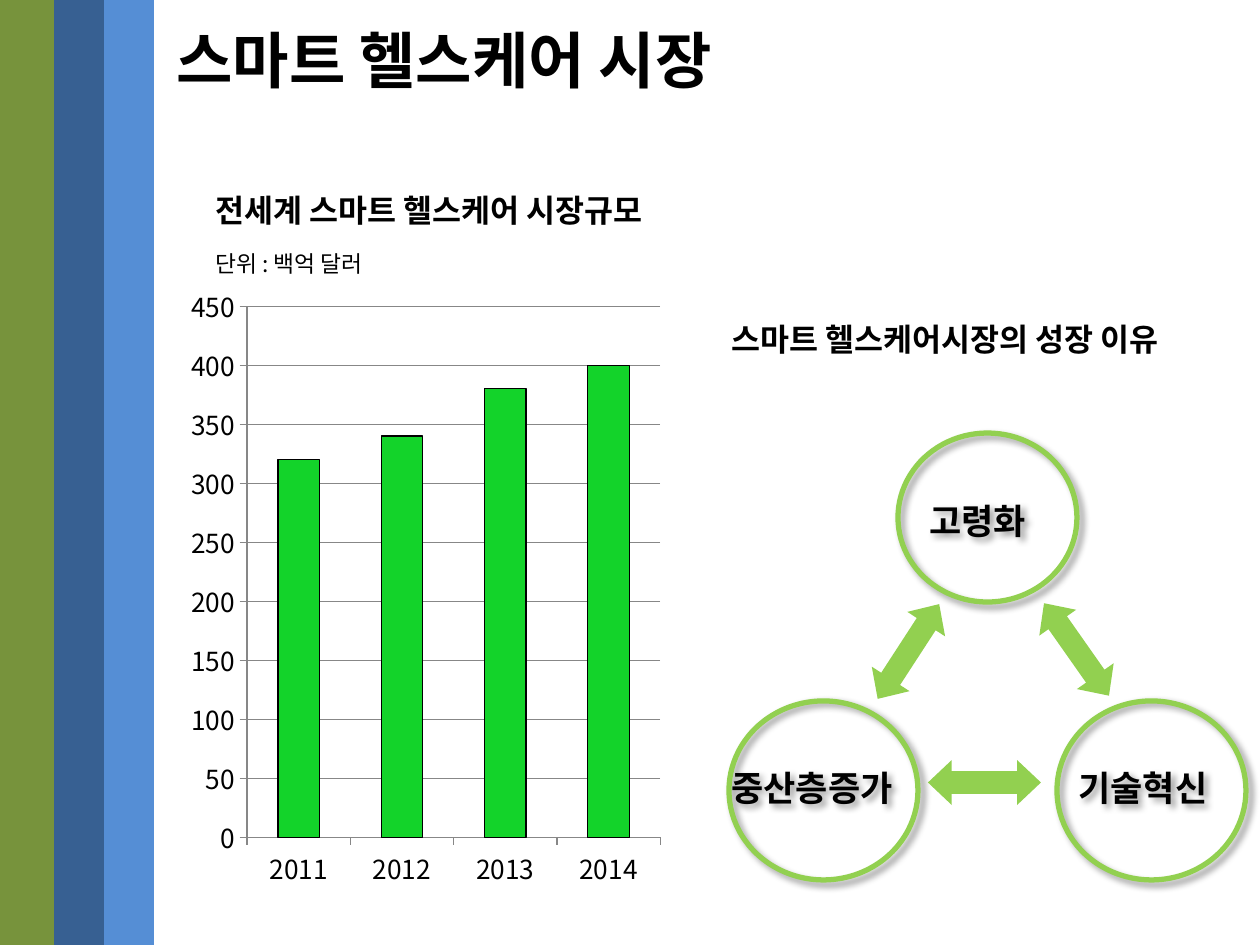
import pptx
import pptx.chart.data
import pptx.dml.color
import pptx.enum.chart
import pptx.enum.shapes
import pptx.enum.text
import pptx.oxml
import pptx.oxml.ns
import pptx.util
from lxml import etree

PX = 914400 / 126
THEME = {
    "font": "Noto Sans CJK KR",
    "olive": "77933C", "navy": "376092", "sky": "558ED5",
    "text": "000000", "bar": "13D32A", "axis": "878787", "lime": "92D050",
    "title": 35, "heading": 18, "unit": 13, "label": 20, "tick": 15,
}
SHADOW = (
    '<a:effectLst %s><a:outerShdw blurRad="50800" dist="38100" dir="2700000" algn="tl" '
    'rotWithShape="0"><a:srgbClr val="000000"><a:alpha val="40000"/></a:srgbClr>'
    '</a:outerShdw></a:effectLst>' % pptx.oxml.ns.nsdecls("a"))


def box(*lengths):
    return [pptx.util.Emu(round(length * PX)) for length in lengths]


def color(name):
    return pptx.dml.color.RGBColor.from_string(THEME[name])


presentation = pptx.Presentation()
presentation.slide_width, presentation.slide_height = box(1260, 945)
slide = presentation.slides.add_slide(presentation.slide_layouts[6])
shapes = slide.shapes
kinds = pptx.enum.shapes.MSO_SHAPE

# Side bands
for left, width, fill in [(104, 50, "sky"), (54, 50, "navy"), (0, 54, "olive")]:
    band = shapes.add_shape(kinds.RECTANGLE, *box(left, 0, width, 945))
    band.shadow.inherit = False
    band.fill.solid()
    band.fill.fore_color.rgb = color(fill)
    band.line.fill.background()

# Market size chart
chart_data = pptx.chart.data.CategoryChartData()
chart_data.categories = ["2011", "2012", "2013", "2014"]
chart_data.add_series("Series 1", [320, 340, 380, 400])
chart = shapes.add_chart(pptx.enum.chart.XL_CHART_TYPE.COLUMN_CLUSTERED,
                         *box(184, 275, 486, 625), chart_data).chart
chart.has_legend = False
chart.has_title = False
chart.font.name = THEME["font"]
chart.font.size = pptx.util.Pt(THEME["heading"])
chart.font.color.rgb = color("text")
plot = chart.plots[0]
plot.gap_width = 150
plot.vary_by_categories = False
series = plot.series[0]
series.format.fill.solid()
series.format.fill.fore_color.rgb = color("bar")
series.format.line.color.rgb = color("text")
series.format.line.width = pptx.util.Pt(0.75)

# Chart axes
for axis in (chart.category_axis, chart.value_axis):
    axis.major_tick_mark = pptx.enum.chart.XL_TICK_MARK.OUTSIDE
    axis.minor_tick_mark = pptx.enum.chart.XL_TICK_MARK.NONE
    axis.tick_labels.font.size = pptx.util.Pt(THEME["tick"])
    axis.format.line.color.rgb = color("axis")
value_axis = chart.value_axis
value_axis.minimum_scale, value_axis.maximum_scale, value_axis.major_unit = 0, 450, 50
value_axis.has_major_gridlines = True
value_axis.major_gridlines.format.line.color.rgb = color("axis")

# Inner plot area, as fractions of the chart
plot_area = chart.element.find(".//" + pptx.oxml.ns.qn("c:plotArea"))
for old_layout in plot_area.findall(pptx.oxml.ns.qn("c:layout")):
    plot_area.remove(old_layout)
layout = etree.Element(pptx.oxml.ns.qn("c:layout"))
manual = etree.SubElement(layout, pptx.oxml.ns.qn("c:manualLayout"))
for tag, value in [("layoutTarget", "inner"), ("xMode", "edge"), ("yMode", "edge"),
                   ("x", 0.13), ("y", 0.05), ("w", 0.85), ("h", 0.85)]:
    etree.SubElement(manual, pptx.oxml.ns.qn("c:" + tag)).set("val", str(value))
plot_area.insert(0, layout)

# Title, headings and circle labels
texts = [
    ("스마트 헬스케어 시장", 164, 16, 625, 87, "title", True, False),
    ("전세계 스마트 헬스케어 시장규모", 203, 185, 504, 50, "heading", True, False),
    ("단위 : 백억 달러", 203, 244, 193, 40, "unit", False, False),
    ("고령화", 917, 493, 139, 55, "label", True, True),
    ("중산층증가", 719, 760, 202, 55, "label", True, True),
    ("기술혁신", 1066, 760, 166, 55, "label", True, True),
    ("스마트 헬스케어시장의 성장 이유", 719, 314, 504, 50, "heading", True, False),
]
for words, left, top, width, height, size, bold, shadowed in texts:
    text_box = shapes.add_textbox(*box(left, top, width, height))
    text_box.text_frame.word_wrap = False
    text_box.text_frame.auto_size = pptx.enum.text.MSO_AUTO_SIZE.SHAPE_TO_FIT_TEXT
    run = text_box.text_frame.paragraphs[0].add_run()
    run.text = words
    run.font.name = THEME["font"]
    run.font.size = pptx.util.Pt(THEME[size])
    run.font.bold = bold
    run.font.color.rgb = color("text")
    east_asian = etree.SubElement(run.font._element, pptx.oxml.ns.qn("a:ea"))
    east_asian.set("typeface", THEME["font"])
    if shadowed:
        text_box._element.spPr.append(pptx.oxml.parse_xml(SHADOW))

# Circles of growth reasons
for left, top, width, height in [(898, 433, 179, 169), (729, 701, 189, 179),
                                 (1057, 701, 189, 179)]:
    circle = shapes.add_shape(kinds.OVAL, *box(left, top, width, height))
    circle.fill.background()
    circle.line.color.rgb = color("lime")
    circle.line.width = pptx.util.Pt(3)
    circle._element.spPr.append(pptx.oxml.parse_xml(SHADOW))

# Double arrows between the circles
for left, top, rotation in [(852, 629, 303), (1020, 627, 54.9), (928, 760, 0)]:
    arrow = shapes.add_shape(kinds.LEFT_RIGHT_ARROW, *box(left, top, 113, 45))
    arrow.adjustments[0] = 0.5
    arrow.adjustments[1] = 0.53
    arrow.rotation = rotation
    arrow.shadow.inherit = False
    arrow.fill.solid()
    arrow.fill.fore_color.rgb = color("lime")
    arrow.line.fill.background()

presentation.save("out.pptx")
